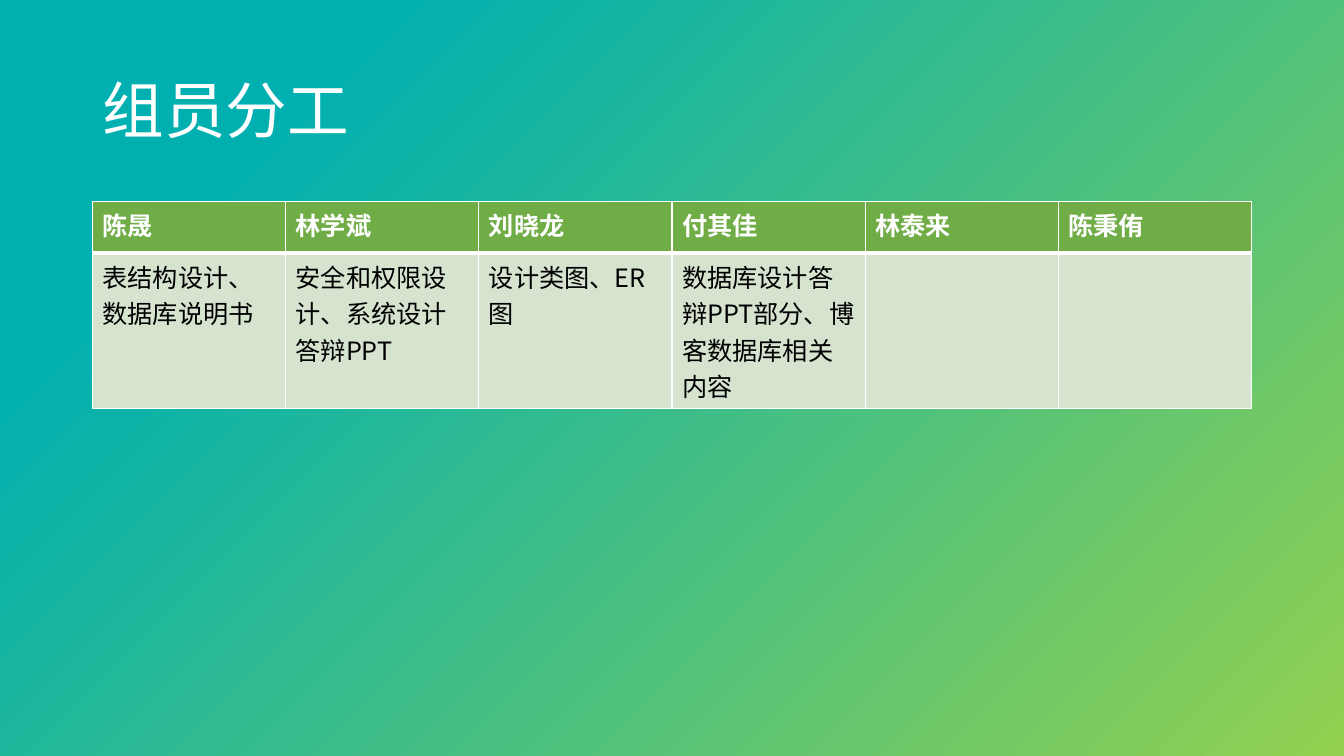
"""Build the slide that shows how the work is divided among the team members."""
import pptx
import pptx.dml.color
import pptx.enum.text
import pptx.oxml
import pptx.oxml.ns
import pptx.util
from pptx.util import Cm

FONT = "Noto Sans CJK SC"
WHITE = "FFFFFF"
DUTIES = {
    "陈晟": "表结构设计、数据库说明书",
    "林学斌": "安全和权限设计、系统设计答辩PPT",
    "刘晓龙": "设计类图、ER图",
    "付其佳": "数据库设计答辩PPT部分、博客数据库相关内容",
    "林泰来": "",
    "陈秉侑": "",
}


def color(value):
    return pptx.dml.color.RGBColor.from_string(value)


def write(frame, text, size=18, ink=WHITE, bold=False, spacing=None):
    para = frame.paragraphs[0]
    para.alignment = pptx.enum.text.PP_ALIGN.LEFT
    para.line_spacing = spacing
    if not text:
        return
    span = para.add_run()
    span.text = text
    span.font.name = FONT
    span.font.size = pptx.util.Pt(size)
    span.font.bold = bold
    span.font.color.rgb = color(ink)
    east_asian = pptx.oxml.parse_xml(
        f'<a:ea {pptx.oxml.ns.nsdecls("a")} typeface="{FONT}"/>')
    span.font._element.append(east_asian)


deck = pptx.Presentation()
deck.slide_width = Cm(33.87)
deck.slide_height = Cm(19.05)
page = deck.slides.add_slide(deck.slide_layouts[5])

backdrop = page.background.fill
backdrop.gradient()
backdrop.gradient_angle = 135
for stop, (position, value) in zip(backdrop.gradient_stops, [(0, "92D050"), (0.82, "00B0B1")]):
    stop.position = position
    stop.color.rgb = color(value)

title = page.shapes.title
title.left, title.top, title.width, title.height = Cm(2.33), Cm(1.01), Cm(29.21), Cm(3.68)
title.text_frame.vertical_anchor = pptx.enum.text.MSO_ANCHOR.MIDDLE
title.text_frame.auto_size = pptx.enum.text.MSO_AUTO_SIZE.NONE
write(title.text_frame, "组员分工", size=44, spacing=0.9)

holder = page.shapes.add_table(2, len(DUTIES), Cm(2.33), Cm(5.08), Cm(29.21), Cm(4.6))
table = holder.table
table.horz_banding = False
table.rows[0].height = Cm(1.29)
table.rows[1].height = Cm(2.77)
holder.height = Cm(4.6)

rows = [
    (DUTIES.keys(), "70AD47", WHITE, True, {"L": 1, "R": 1, "T": 1, "B": 3}),
    (DUTIES.values(), "D5E3CF", "000000", False, {"L": 1, "R": 1, "T": 3, "B": 1}),
]
for row, (texts, fill, ink, bold, borders) in enumerate(rows):
    for column, text in enumerate(texts):
        cell = table.cell(row, column)
        write(cell.text_frame, text, ink=ink, bold=bold)
        for side, width in borders.items():
            cell._tc.get_or_add_tcPr().append(pptx.oxml.parse_xml(
                f'<a:ln{side} {pptx.oxml.ns.nsdecls("a")} w="{pptx.util.Pt(width)}">'
                f'<a:solidFill><a:srgbClr val="{WHITE}"/></a:solidFill></a:ln{side}>'))
        cell.fill.solid()
        cell.fill.fore_color.rgb = color(fill)

deck.save("out.pptx")
